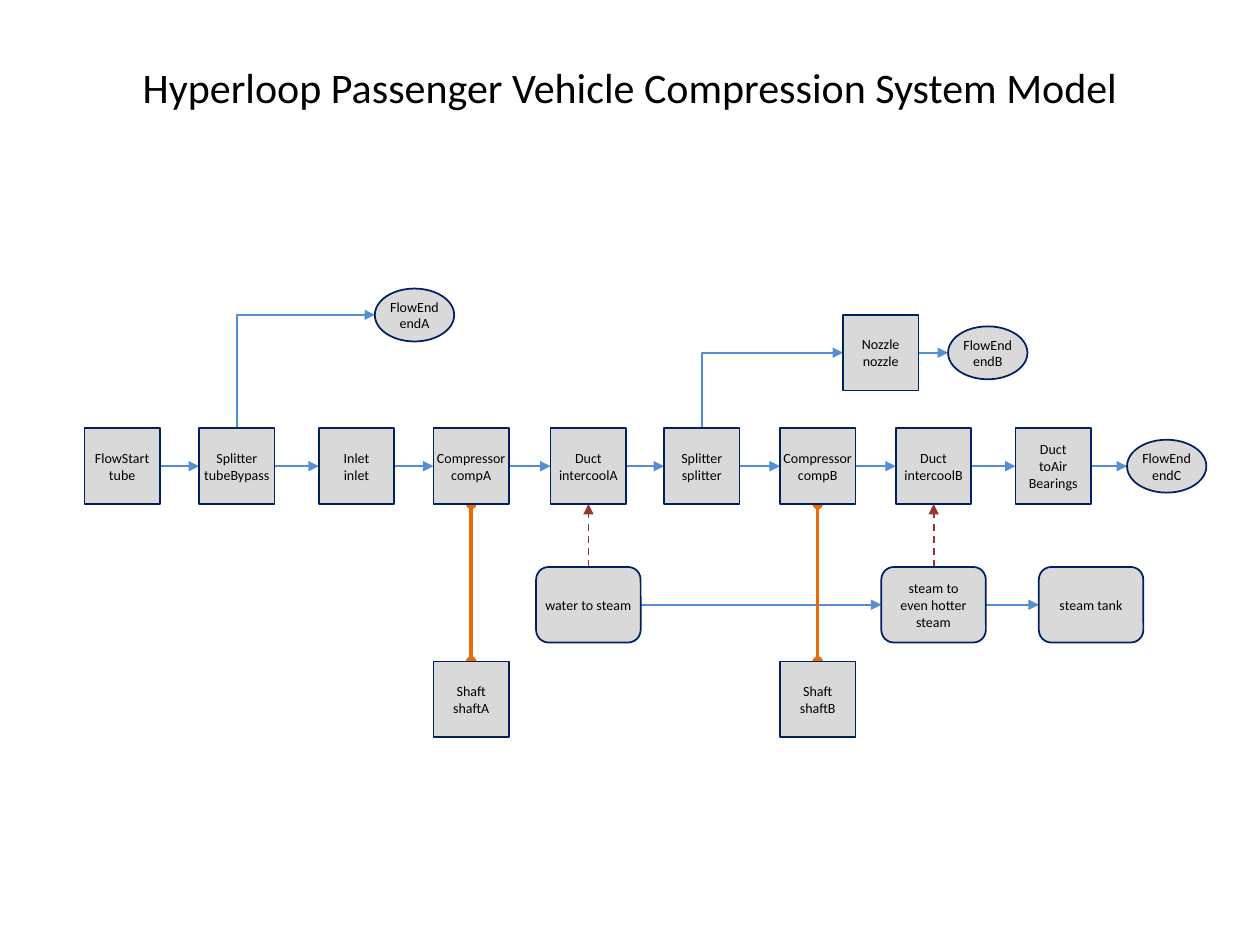
from lxml import etree
from pptx import Presentation
from pptx import util as u
from pptx.dml.color import RGBColor
from pptx.enum import dml, shapes, text
from pptx.oxml.ns import qn

TITLE = "Hyperloop Passenger Vehicle Compression System Model"

# Centre lines of the grid, in inches
COLUMNS = {"start": 0.97, "bypass": 1.88, "inlet": 2.83, "endA": 3.29,
           "compA": 3.74, "coolA": 4.67, "split": 5.57, "compB": 6.49,
           "nozzle": 6.99, "coolB": 7.41, "endB": 7.84, "bearings": 8.36,
           "tank": 8.66, "endC": 9.26}
ROWS = {"end": 2.5, "nozzle": 2.8, "flow": 3.7, "steam": 4.8, "shaft": 5.55}

# Kind: (preset shape, width, height)
KINDS = {
    "part": (shapes.MSO_SHAPE.RECTANGLE, 0.6, 0.6),
    "flow_end": (shapes.MSO_SHAPE.OVAL, 0.63, 0.42),
    "water": (shapes.MSO_SHAPE.ROUNDED_RECTANGLE, 0.83, 0.6),
}

# Node: (kind, column, row, lines)
NODES = {
    "tube": ("part", "start", "flow", ["FlowStart", "tube"]),
    "tubeBypass": ("part", "bypass", "flow", ["Splitter", "tubeBypass"]),
    "inlet": ("part", "inlet", "flow", ["Inlet", "inlet"]),
    "compA": ("part", "compA", "flow", ["Compressor", "compA"]),
    "intercoolA": ("part", "coolA", "flow", ["Duct", "intercoolA"]),
    "splitter": ("part", "split", "flow", ["Splitter", "splitter"]),
    "compB": ("part", "compB", "flow", ["Compressor", "compB"]),
    "intercoolB": ("part", "coolB", "flow", ["Duct", "intercoolB"]),
    "toAir": ("part", "bearings", "flow", ["Duct", "toAir", "Bearings"]),
    "endC": ("flow_end", "endC", "flow", ["FlowEnd", "endC"]),
    "endA": ("flow_end", "endA", "end", ["FlowEnd", "endA"]),
    "nozzle": ("part", "nozzle", "nozzle", ["Nozzle", "nozzle"]),
    "endB": ("flow_end", "endB", "nozzle", ["FlowEnd", "endB"]),
    "water": ("water", "coolA", "steam", ["water to steam"]),
    "steam": ("water", "coolB", "steam", ["steam to", "even hotter", "steam"]),
    "tank": ("water", "tank", "steam", ["steam tank"]),
    "shaftA": ("part", "compA", "shaft", ["Shaft", "shaftA"]),
    "shaftB": ("part", "compB", "shaft", ["Shaft", "shaftB"]),
}

# Chains of nodes joined one after the other: (style, nodes)
CHAINS = [
    ("air", ["tube", "tubeBypass", "inlet", "compA", "intercoolA", "splitter",
             "compB", "intercoolB", "toAir", "endC"]),
    ("air", ["tubeBypass", "endA"]),
    ("air", ["splitter", "nozzle", "endB"]),
    ("air", ["water", "steam", "tank"]),
    ("heat", ["water", "intercoolA"]),
    ("heat", ["steam", "intercoolB"]),
    ("torque", ["shaftA", "compA"]),
    ("torque", ["shaftB", "compB"]),
]

THEME = {
    "font": "Calibri", "ink": "000000", "title_size": 24, "node_size": 8,
    "fill": "D9D9D9", "outline": "002060", "outline_width": 1,
    "air": {"color": "558ED5", "width": 1, "ends": {"tailEnd": "triangle"}},
    "heat": {"color": "953735", "width": 1, "ends": {"tailEnd": "triangle"},
             "dash": dml.MSO_LINE.DASH},
    "torque": {"color": "E46C0A", "width": 2,
               "ends": {"headEnd": "oval", "tailEnd": "oval"}},
}


def rgb(code):
    return RGBColor.from_string(code)


def write(frame, lines, size, margin=None):
    settings = {"word_wrap": True, "vertical_anchor": text.MSO_ANCHOR.MIDDLE}
    if margin is not None:
        for side in ("left", "right", "top", "bottom"):
            settings["margin_" + side] = margin
    for name, value in settings.items():
        setattr(frame, name, value)
    for index, line in enumerate(lines):
        para = frame.paragraphs[0] if index == 0 else frame.add_paragraph()
        para.alignment = text.PP_ALIGN.CENTER
        run = para.add_run()
        run.text = line
        for name, value in {"name": THEME["font"], "size": u.Pt(size)}.items():
            setattr(run.font, name, value)
        run.font.color.rgb = rgb(THEME["ink"])


def box(name):
    """Centre and half size of a node."""
    kind, column, row, _ = NODES[name]
    _, width, height = KINDS[kind]
    return COLUMNS[column], ROWS[row], width / 2, height / 2


def add_node(slide, name):
    x, y, half_w, half_h = box(name)
    kind, _, _, lines = NODES[name]
    node = slide.shapes.add_shape(KINDS[kind][0], *map(
        u.Inches, (x - half_w, y - half_h, 2 * half_w, 2 * half_h)))
    node.shadow.inherit = False
    node.fill.solid()
    node.fill.fore_color.rgb = rgb(THEME["fill"])
    node.line.color.rgb = rgb(THEME["outline"])
    node.line.width = u.Pt(THEME["outline_width"])
    write(node.text_frame, lines, THEME["node_size"], margin=0)


def add_link(slide, source, target, style):
    """Straight link along a row or column, else up and then right."""
    x1, y1, w1, h1 = box(source)
    x2, y2, w2, h2 = box(target)
    bent = x1 != x2 and y1 != y2
    if y1 == y2:
        ends = (x1 + w1, y1, x2 - w2, y2)
    elif x1 == x2:
        ends = (x1, y1 - h1, x2, y2 + h2)
    else:
        # The preset bends right then down: flip both ways, turn a quarter
        run, rise = x2 - w2 - x1, y1 - h1 - y2
        mid_x, mid_y = x1 + run / 2, y2 + rise / 2
        ends = (mid_x + rise / 2, mid_y + run / 2,
                mid_x - rise / 2, mid_y - run / 2)
    shape_type = shapes.MSO_CONNECTOR.ELBOW if bent else shapes.MSO_CONNECTOR.STRAIGHT
    link = slide.shapes.add_connector(shape_type, *map(u.Inches, ends))
    properties = link._element.spPr
    if bent:
        properties.find(qn("a:xfrm")).set("rot", str(90 * 60000))
        properties.find(qn("a:prstGeom")).set("prst", "bentConnector2")
    link.line.color.rgb = rgb(style["color"])
    link.line.width = u.Pt(style["width"])
    if "dash" in style:
        link.line.dash_style = style["dash"]
    for end, head in style["ends"].items():
        etree.SubElement(properties.find(qn("a:ln")), qn("a:" + end), type=head)
    etree.SubElement(properties, qn("a:effectLst"))


def main():
    deck = Presentation()
    deck.slide_width, deck.slide_height = u.Inches(10), u.Inches(7.5)
    slide = deck.slides.add_slide(deck.slide_layouts[6])
    title = slide.shapes.add_textbox(*map(u.Inches, (0.5, 0.3, 9, 0.78)))
    write(title.text_frame, [TITLE], THEME["title_size"])
    for style, chain in CHAINS:
        for source, target in zip(chain, chain[1:]):
            add_link(slide, source, target, THEME[style])
    for name in NODES:
        add_node(slide, name)
    deck.save("out.pptx")


if __name__ == "__main__":
    main()
